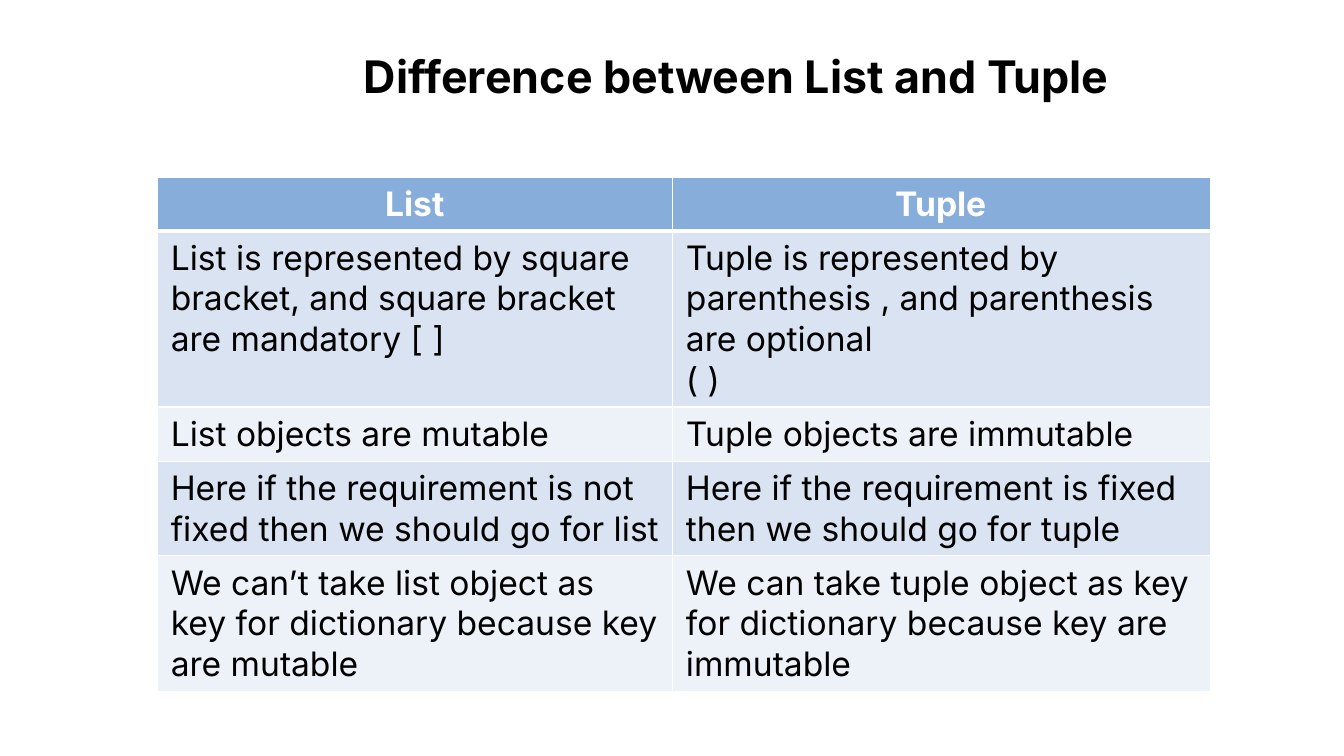
from lxml import etree
from pptx import Presentation
from pptx.dml.color import RGBColor
from pptx.enum.text import MSO_ANCHOR, MSO_AUTO_SIZE, PP_ALIGN
from pptx.oxml.ns import qn
from pptx.util import Pt

CENTER, LEFT = PP_ALIGN.CENTER, PP_ALIGN.LEFT
TOP = MSO_ANCHOR.TOP
NO_AUTOSIZE = MSO_AUTO_SIZE.NONE
BLACK = RGBColor(0x00, 0x00, 0x00)
WHITE = RGBColor(0xFF, 0xFF, 0xFF)
HEADER_BLUE = RGBColor(0x87, 0xAD, 0xDB)
BAND_DARK = RGBColor(0xD9, 0xE3, 0xF1)
BAND_LIGHT = RGBColor(0xED, 0xF1, 0xF8)

MARGINS = {
    "margin_left": Pt(9.6),
    "margin_right": Pt(9.6),
    "margin_top": Pt(4.8),
    "margin_bottom": Pt(4.8),
}
COLUMN_WIDTHS = [368, 384]
ROW_HEIGHTS = [38.4, 124.8, 38.4, 67.2, 96]
COMPARISON = [
    ("List", "Tuple"),
    (
        "List is represented by square bracket, and square bracket are mandatory [ ]",
        "Tuple is represented by parenthesis , and parenthesis are optional\n( )",
    ),
    ("List objects are mutable", "Tuple objects are immutable"),
    (
        "Here if the requirement is not fixed then we should go for list",
        "Here if the requirement is fixed then we should go for tuple",
    ),
    (
        "We can’t take list object as key for dictionary because key are mutable",
        "We can take tuple object as key for dictionary because key are immutable",
    ),
]


def format_text(frame, color, alignment, font_values):
    for para in frame.paragraphs:
        para.alignment = alignment
        for span in para.runs:
            for name, value in font_values.items():
                setattr(span.font, name, value)
            span.font.color.rgb = color


def add_border(cell, side, width):
    properties = cell._tc.get_or_add_tcPr()
    line = etree.SubElement(properties, qn(f"a:ln{side}"), w=str(Pt(width)))
    fill = etree.SubElement(line, qn("a:solidFill"))
    etree.SubElement(fill, qn("a:srgbClr"), val=str(WHITE))


deck = Presentation()
deck.slide_width, deck.slide_height = Pt(960), Pt(540)
page = deck.slides.add_slide(deck.slide_layouts[5])

title = page.shapes.title
title.left, title.top, title.width, title.height = Pt(0), Pt(30), Pt(955.2), Pt(48)
title_frame = title.text_frame
title_frame.text = "Difference between List and Tuple"
title_values = MARGINS | {
    "margin_left": Pt(107),
    "word_wrap": True,
    "auto_size": NO_AUTOSIZE,
    "vertical_anchor": TOP,
}
for name, value in title_values.items():
    setattr(title_frame, name, value)
format_text(title_frame, BLACK, CENTER, {"name": "Inter", "size": Pt(32), "bold": True})

table = page.shapes.add_table(
    len(ROW_HEIGHTS), len(COLUMN_WIDTHS), Pt(112.4), Pt(126.4),
    Pt(sum(COLUMN_WIDTHS)), Pt(sum(ROW_HEIGHTS)),
).table
for column, width in zip(table.columns, COLUMN_WIDTHS):
    column.width = Pt(width)
for row, height in zip(table.rows, ROW_HEIGHTS):
    row.height = Pt(height)

for row_index, texts in enumerate(COMPARISON):
    is_header = row_index == 0
    band = BAND_DARK if row_index % 2 else BAND_LIGHT
    border_widths = {
        "L": 1,
        "R": 1,
        "T": 3 if row_index == 1 else 1,
        "B": 3 if is_header else 1,
    }
    for column_index, text in enumerate(texts):
        cell = table.cell(row_index, column_index)
        cell.text_frame.text = text
        for name, value in MARGINS.items():
            setattr(cell, name, value)
        for side, width in border_widths.items():
            add_border(cell, side, width)
        cell.fill.solid()
        cell.fill.fore_color.rgb = HEADER_BLUE if is_header else band
        format_text(
            cell.text_frame,
            WHITE if is_header else BLACK,
            CENTER if is_header else LEFT,
            {"name": "Inter", "size": Pt(24), "bold": is_header},
        )

deck.save("out.pptx")
